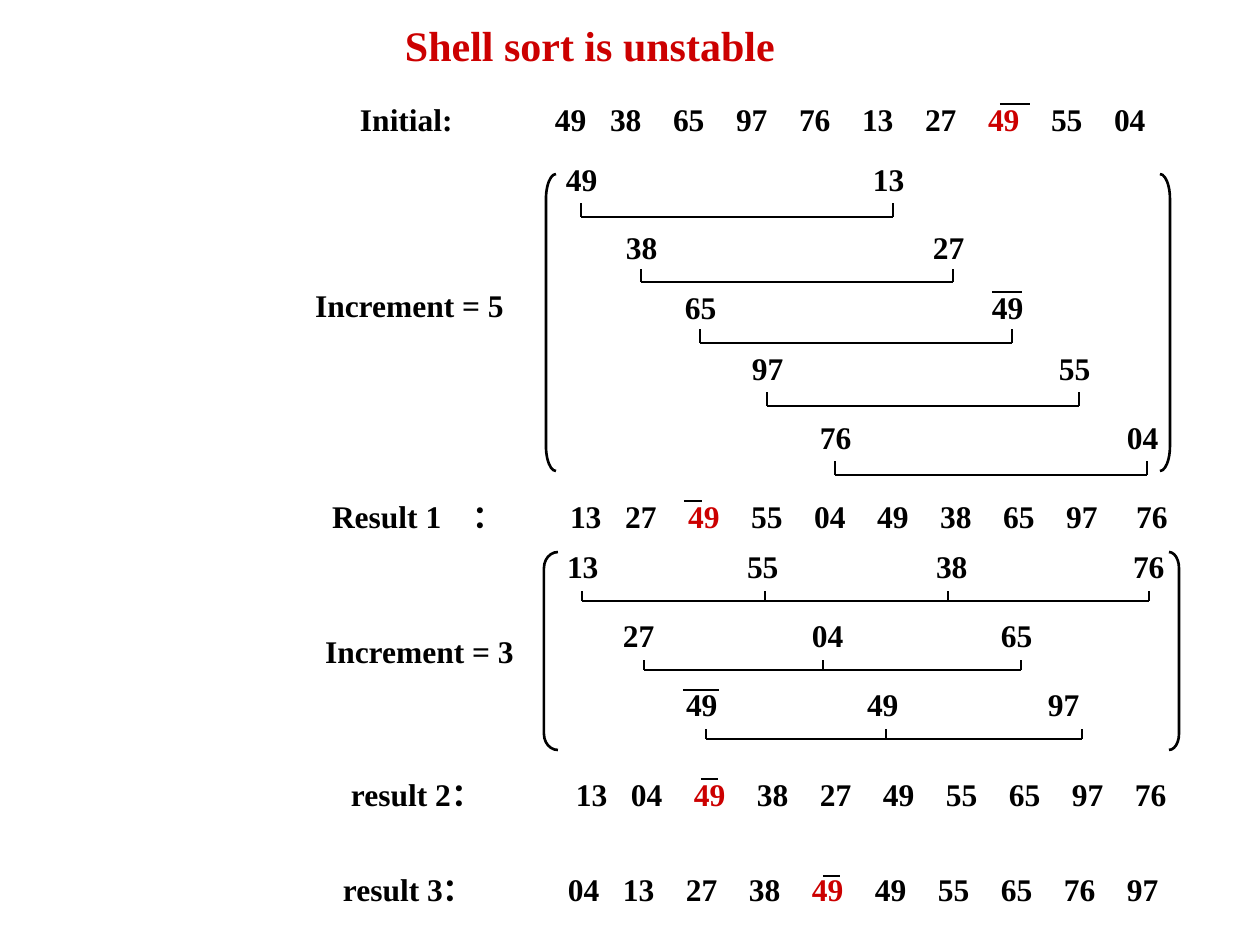
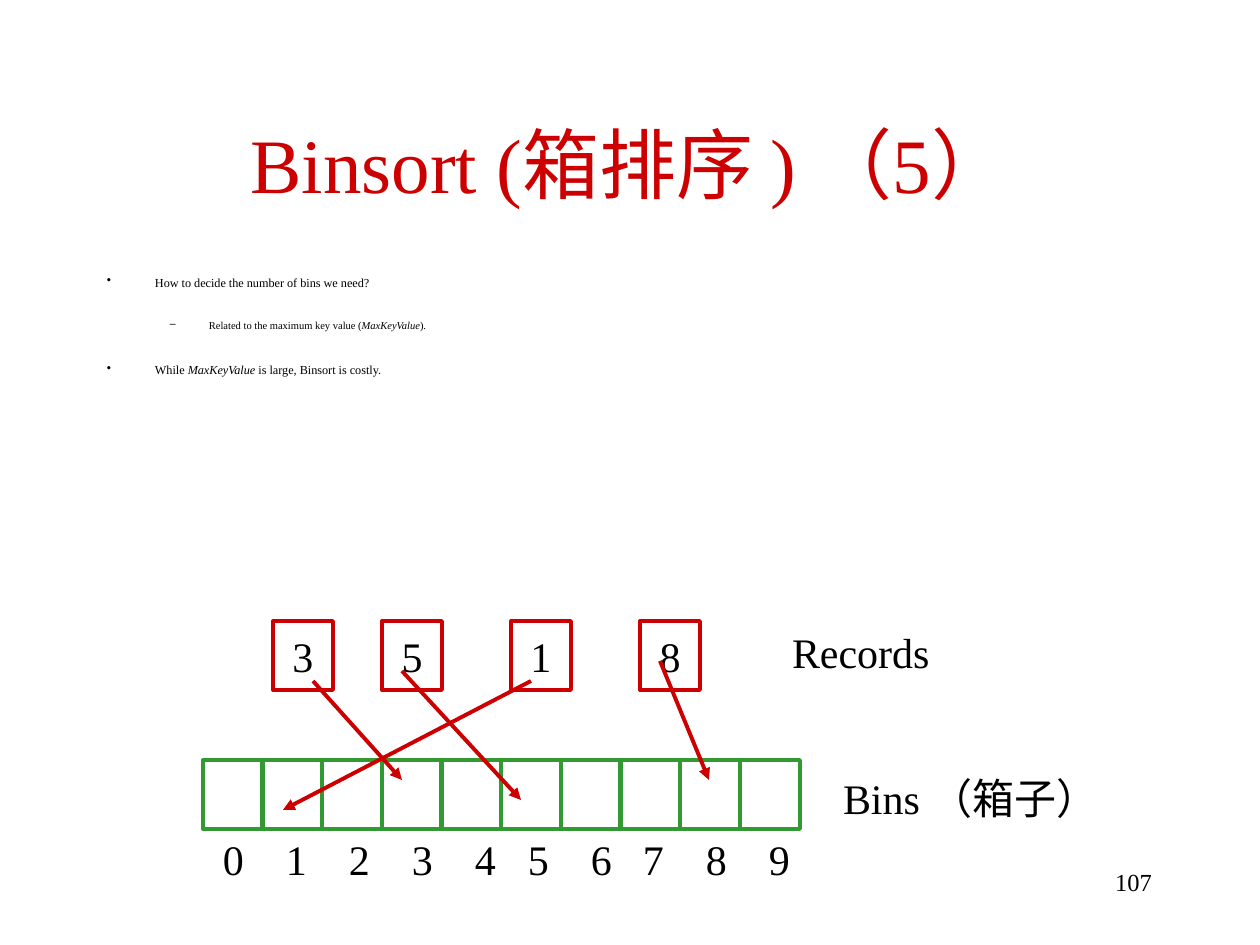
import dataclasses

import lxml.etree
import pptx
import pptx.dml.color
import pptx.enum.shapes
import pptx.enum.text
import pptx.oxml.ns
import pptx.util

SHAPE = pptx.enum.shapes.MSO_SHAPE
ALIGN = pptx.enum.text.PP_ALIGN
ANCHOR = pptx.enum.text.MSO_ANCHOR


@dataclasses.dataclass(frozen=True)
class Theme:
    font: str = "Times New Roman"
    ink: str = "000000"
    red: str = "CC0000"
    green: str = "339933"
    white: str = "FFFFFF"
    title: int = 44
    large: int = 24
    row: int = 18
    footer: int = 14
    bullet: int = 7
    sub_bullet: int = 6
    thin: float = 1.5
    thick: float = 2.25


THEME = Theme()
INSET_X, INSET_Y = 13, 6


def px(length):
    """Turn px into EMU at 126 px to the inch."""
    return round(length * 914400 / 126)


def rgb(color):
    return pptx.dml.color.RGBColor.from_string(color)


def add_xml(parent, tag, **attributes):
    element = lxml.etree.SubElement(parent, pptx.oxml.ns.qn(tag))
    for name, value in attributes.items():
        element.set(name, str(value))
    return element


def write_span(para, text, *, size=THEME.row, color=THEME.ink, bold=False, italic=False):
    span = para.add_run()
    span.text = text
    span.font.name = THEME.font
    span.font.size = pptx.util.Pt(size)
    span.font.color.rgb = rgb(color)
    span.font.bold = bold
    span.font.italic = italic


class Painter:
    def __init__(self, deck, theme):
        self.deck = deck
        self.theme = theme
        self.page = None

    def new_page(self):
        self.page = self.deck.slides.add_slide(self.deck.slide_layouts[6])
        fill = self.page.background.fill
        fill.solid()
        fill.fore_color.rgb = rgb(self.theme.white)

    # Text
    def frame(self, box, anchor):
        frame = box.text_frame
        frame.word_wrap = True
        frame.vertical_anchor = anchor
        frame.margin_left = frame.margin_right = px(INSET_X)
        frame.margin_top = frame.margin_bottom = px(INSET_Y)
        return frame

    def box(self, left, top, width, height, anchor=ANCHOR.TOP):
        box = self.page.shapes.add_textbox(px(left), px(top), px(width), px(height))
        return self.frame(box, anchor)

    def text(self, text, left, top, width, height, *, align=ALIGN.LEFT,
             anchor=ANCHOR.TOP, spacing=None, **style):
        para = self.box(left, top, width, height, anchor).paragraphs[0]
        para.alignment = align
        para.line_spacing = spacing
        write_span(para, text, **style)

    def row(self, cells, starts, top, height=50, marked=None, **style):
        """One line of text whose cells begin at the given x positions."""
        left = starts[0]
        frame = self.box(left - INSET_X, top, starts[-1] - left + 60, height, ANCHOR.MIDDLE)
        para = frame.paragraphs[0]
        tabs = add_xml(para._p.get_or_add_pPr(), "a:tabLst")
        for start in starts[1:]:
            add_xml(tabs, "a:tab", pos=px(start - left), algn="l")
        for index, cell in enumerate(cells):
            color = self.theme.red if index == marked else self.theme.ink
            write_span(para, cell if index == 0 else "\t" + cell, color=color, **style)

    def bullets(self, items, left, top, width, height):
        frame = self.box(left, top, width, height)
        for index, (level, gap, spans) in enumerate(items):
            para = frame.paragraphs[0] if index == 0 else frame.add_paragraph()
            mark, margin, hang, size = (
                ("–", 102, 39, self.theme.sub_bullet) if level
                else ("•", 48, 48, self.theme.bullet))
            para.level = level
            para.line_spacing = 0.7
            if gap:
                para.space_before = pptx.util.Pt(gap)
            properties = para._p.get_or_add_pPr()
            properties.set("marL", str(px(margin)))
            properties.set("indent", str(-px(hang)))
            add_xml(add_xml(properties, "a:buClr"), "a:srgbClr", val=self.theme.ink)
            add_xml(properties, "a:buChar", char=mark)
            for text, italic in spans:
                write_span(para, text, size=size, italic=italic)

    # Shapes and lines
    def shape(self, kind, left, top, width, height, color, weight):
        shape = self.page.shapes.add_shape(kind, px(left), px(top), px(width), px(height))
        shape.shadow.inherit = False
        shape.fill.background()
        shape.line.color.rgb = rgb(color)
        shape.line.width = pptx.util.Pt(weight)
        return shape

    def cell(self, left, top, color, text=None):
        cell = self.shape(SHAPE.RECTANGLE, left, top, 60, 69, color, self.theme.thick)
        if text:
            para = self.frame(cell, ANCHOR.MIDDLE).paragraphs[0]
            para.alignment = ALIGN.CENTER
            write_span(para, text, size=self.theme.large)

    def bracket(self, kind, left, top, width, height, radius):
        bracket = self.shape(kind, left, top, width, height, self.theme.ink, self.theme.thin)
        bracket.adjustments[0] = radius / width

    def line(self, x1, y1, x2, y2, *, color=THEME.ink, weight=THEME.thin, arrow=False):
        line = self.page.shapes.add_connector(
            pptx.enum.shapes.MSO_CONNECTOR.STRAIGHT, px(x1), px(y1), px(x2), px(y2))
        line.line.color.rgb = rgb(color)
        line.line.width = pptx.util.Pt(weight)
        if arrow:
            add_xml(line.line._get_or_add_ln(), "a:tailEnd", type="triangle")
        add_xml(line._element.spPr, "a:effectLst")

    def comb(self, ticks, bar_y, tick_height):
        """A bar with a tick up to each grouped number."""
        self.line(ticks[0], bar_y, ticks[-1], bar_y)
        for tick in ticks:
            self.line(tick, bar_y, tick, bar_y - tick_height)


def shell_sort_page(painter):
    theme = painter.theme
    painter.new_page()
    painter.text("Shell sort is unstable", 392, 23, 420, 53, spacing=0.8,
                 size=theme.large, color=theme.red, bold=True)

    # Sequences: labels, label starts, numbers, first number x, last number x, top
    sequences = [
        (["Initial:"], [360], "49 38 65 97 76 13 27 49 55 04", 555, 1114, 94, 7),
        (["Result 1", "："], [332, 473], "13 27 49 55 04 49 38 65 97 76", 570, 1136, 491, 2),
        (["result 2："], [351], "13 04 49 38 27 49 55 65 97 76", 576, 1135, 769, 2),
        (["result 3："], [343], "04 13 27 38 49 49 55 65 76 97", 568, 1127, 864, 4),
    ]
    for labels, label_starts, numbers, first, last, top, marked in sequences:
        starts = [first] + [first + 55 + 63 * step for step in range(8)] + [last]
        painter.row(labels + numbers.split(), label_starts + starts, top,
                    marked=len(labels) + marked, bold=True)

    # Increment 5: pairs at a fixed distance
    painter.text("Increment = 5", 302, 280, 230, 50, bold=True)
    pairs = [("49 13", 566, 154, 217, 14), ("38 27", 626, 222, 282, 13),
             ("65 49", 685, 282, 343, 14), ("97 55", 752, 343, 406, 14),
             ("76 04", 820, 412, 475, 14)]
    for numbers, left, top, bar_y, tick_height in pairs:
        painter.row(numbers.split(), [left, left + 307], top, bold=True)
        painter.comb([left + 15, left + 327], bar_y, tick_height)

    # Increment 3: longer groups
    painter.text("Increment = 3", 312, 626, 230, 50, bold=True)
    groups = [("13 55 38 76", [567, 747, 936, 1133], [582, 765, 948, 1149]),
              ("27 04 65", [623, 812, 1001], [644, 823, 1021]),
              ("49 49 97", [686, 867, 1048], [706, 886, 1082])]
    for index, (numbers, starts, ticks) in enumerate(groups):
        top = 541 + 69 * index
        painter.row(numbers.split(), starts, top, bold=True)
        painter.comb(ticks, top + 60, 10)

    # Round brackets around both passes
    painter.bracket(SHAPE.LEFT_BRACKET, 546, 174, 10, 297, 25)
    painter.bracket(SHAPE.RIGHT_BRACKET, 1160, 174, 10, 297, 25)
    painter.bracket(SHAPE.LEFT_BRACKET, 544, 552, 14, 198, 16)
    painter.bracket(SHAPE.RIGHT_BRACKET, 1169, 552, 10, 198, 16)

    # Bars over the second 49
    for left, right, y in [(1000, 1030, 104), (992, 1022, 292), (684, 702, 501),
                           (683, 719, 690), (701, 718, 779), (823, 840, 876)]:
        painter.line(left, y, right, y)


def binsort_page(painter):
    theme = painter.theme
    painter.new_page()
    painter.text("Binsort (箱排序 ) （5）", 94, 84, 1071, 157, align=ALIGN.CENTER,
                 anchor=ANCHOR.MIDDLE, size=theme.title, color=theme.red)
    painter.bullets([
        (0, 0, [("How to decide the number of bins we need?", False)]),
        (1, 19, [("Related to the maximum key value (", False),
                 ("MaxKeyValue", True), (").", False)]),
        (0, 20, [("While ", False), ("MaxKeyValue ", True),
                 ("is large, Binsort is costly.", False)]),
    ], 94, 273, 1081, 120)

    # Bins and their numbers
    for index in range(10):
        painter.cell(203 + index * 179 // 3, 760, theme.green)
    painter.row("0 1 2 3 4 5 6 7 8 9".split(),
                [223, 286, 349, 412, 475, 528, 591, 643, 706, 769],
                827, height=63, size=theme.large)
    painter.text("Bins （箱子）", 830, 767, 310, 63, size=theme.large)

    # Records and the bins they go to
    for key, left in [("3", 273), ("5", 382), ("1", 511), ("8", 640)]:
        painter.cell(left, 621, theme.red, key)
    painter.text("Records", 779, 621, 180, 63, size=theme.large)
    for ends in [(313, 681, 402, 780), (402, 671, 521, 800),
                 (531, 681, 283, 810), (660, 661, 709, 780)]:
        painter.line(*ends, color=theme.red, weight=theme.thick, arrow=True)

    painter.text("107", 903, 861, 262, 63, align=ALIGN.RIGHT, size=theme.footer)


def main():
    deck = pptx.Presentation()
    deck.slide_width, deck.slide_height = px(1260), px(945)
    painter = Painter(deck, THEME)
    shell_sort_page(painter)
    binsort_page(painter)
    deck.save("out.pptx")


if __name__ == "__main__":
    main()
